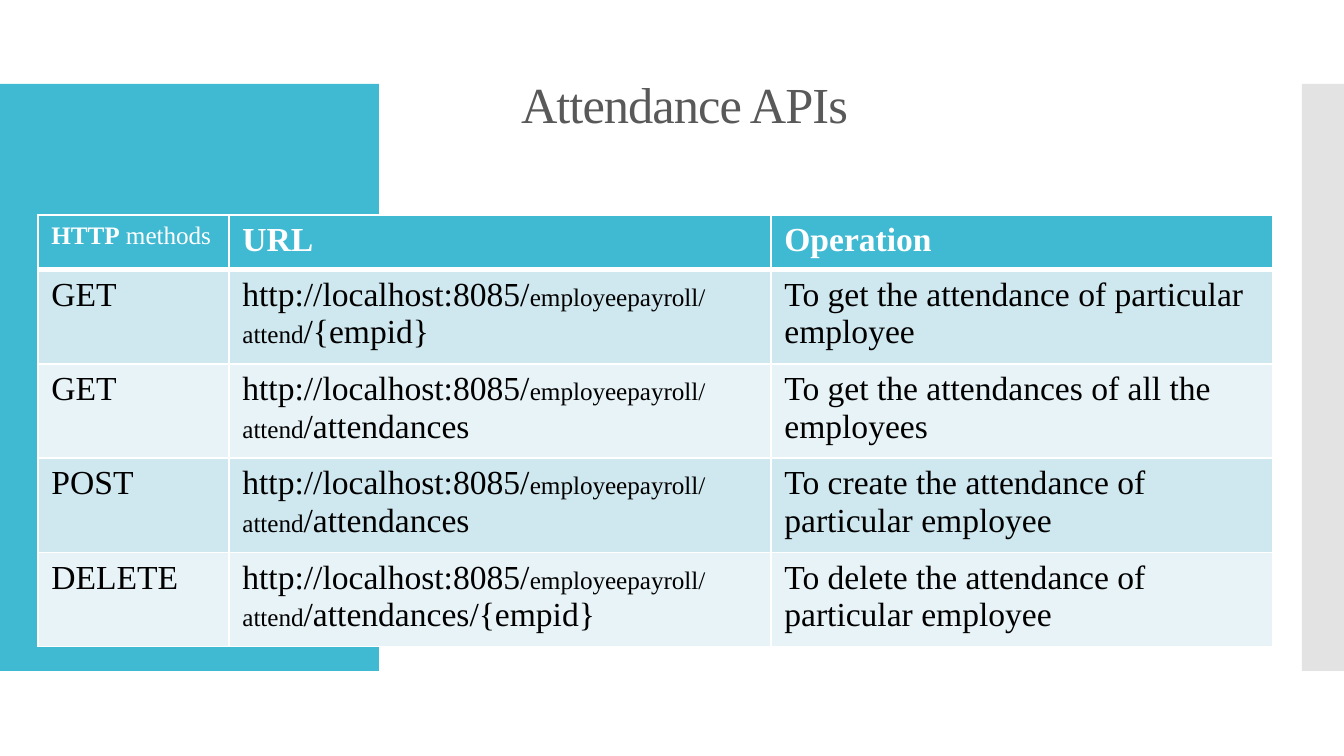
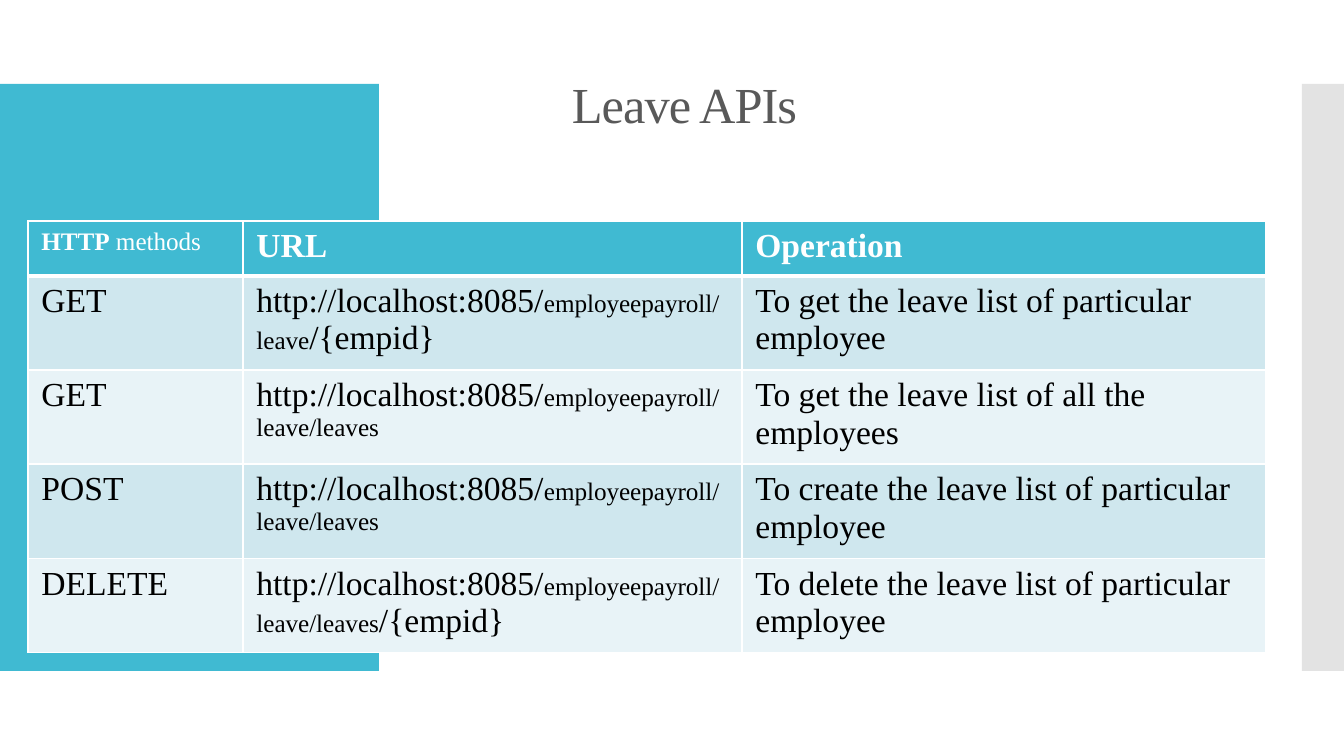
"""Build two slides that list the attendance and leave API endpoints."""

from lxml.etree import SubElement
from pptx import Presentation
from pptx.dml.color import RGBColor
from pptx.enum.shapes import MSO_SHAPE
from pptx.enum.text import MSO_ANCHOR, PP_ALIGN
from pptx.oxml import parse_xml
from pptx.oxml.ns import nsdecls, qn
from pptx.util import Emu, Pt

EMU_PER_PIXEL = 914400 / 134.4
SLIDE_SIZE = (1344, 756)
FONT = "Times New Roman"
LARGE, SMALL, TITLE_SIZE = 18, 13.5, 27
COLORS = {
    "accent": "40BAD2",
    "side": "C8C8C8",
    "title": "595959",
    "odd_row": "CFE7EE",
    "even_row": "E8F3F7",
    "white": "FFFFFF",
    "black": "000000",
}

LEFT_BAND = (0, 84, 379, 587)
RIGHT_BAND = (1302, 84, 42, 587)
TITLE_BOX = (89, 62, 1191, 85)
TITLE_INSET = 13
HEADER_HEIGHT, ROW_HEIGHT = 55, 88

HOST = "http://localhost:8085/"
HEADER = [
    [("HTTP", SMALL, True), (" methods", SMALL, False)],
    [("URL", LARGE, True)],
    [("Operation", LARGE, True)],
]
PAGES = [
    {
        "title": "Attendance APIs",
        "origin": (38, 215),
        "columns": (191, 542, 502),
        "endpoints": [
            ("GET", "employeepayroll/attend", "/{empid}",
             "To get the attendance of particular employee"),
            ("GET", "employeepayroll/attend", "/attendances",
             "To get the attendances of all the employees"),
            ("POST", "employeepayroll/attend", "/attendances",
             "To create the attendance of particular employee"),
            ("DELETE", "employeepayroll/attend", "/attendances/{empid}",
             "To delete the attendance of particular employee"),
        ],
    },
    {
        "title": "Leave APIs",
        "origin": (28, 221),
        "columns": (215, 499, 524),
        "endpoints": [
            ("GET", "employeepayroll/leave", "/{empid}",
             "To get the leave list of particular employee"),
            ("GET", "employeepayroll/leave/leaves", "",
             "To get the leave list of all the employees"),
            ("POST", "employeepayroll/leave/leaves", "",
             "To create the leave list of particular employee"),
            ("DELETE", "employeepayroll/leave/leaves", "/{empid}",
             "To delete the leave list of particular employee"),
        ],
    },
]


def px(value):
    return Emu(round(value * EMU_PER_PIXEL))


def color(name):
    return RGBColor.from_string(COLORS[name])


def style_font(font, size, color_name, bold=False):
    font.name = FONT
    font.size = Pt(size)
    font.bold = bold
    font.color.rgb = color(color_name)


def add_band(slide, box, color_name, opacity=100):
    shape = slide.shapes.add_shape(MSO_SHAPE.RECTANGLE, *map(px, box))
    shape.shadow.inherit = False
    shape.fill.solid()
    shape.fill.fore_color.rgb = color(color_name)
    shape.line.fill.background()
    if opacity < 100:
        fill_color = shape._element.spPr.find(qn("a:solidFill"))[0]
        SubElement(fill_color, qn("a:alpha"), val=str(opacity * 1000))


def add_title(slide, text):
    text_frame = slide.shapes.add_textbox(*map(px, TITLE_BOX)).text_frame
    text_frame.word_wrap = True
    text_frame.vertical_anchor = MSO_ANCHOR.BOTTOM
    for side in ("left", "right", "top", "bottom"):
        setattr(text_frame, f"margin_{side}", px(TITLE_INSET))
    text_frame.text = text
    paragraph = text_frame.paragraphs[0]
    paragraph.alignment = PP_ALIGN.CENTER
    run = paragraph.runs[0]
    style_font(run.font, TITLE_SIZE, "title")
    run._r.get_or_add_rPr().set("spc", "-50")


def set_borders(cell, widths):
    properties = cell._tc.get_or_add_tcPr()
    for index, (side, width) in enumerate(widths.items()):
        properties.insert(index, parse_xml(
            f'<a:ln{side} {nsdecls("a")} w="{Pt(width)}"><a:solidFill>'
            f'<a:srgbClr val="{COLORS["white"]}"/></a:solidFill></a:ln{side}>'
        ))


def fill_cell(cell, parts, fill, text_color, widths):
    cell.fill.solid()
    cell.fill.fore_color.rgb = color(fill)
    set_borders(cell, widths)
    paragraph = cell.text_frame.paragraphs[0]
    for text, size, bold in parts:
        if text:
            run = paragraph.add_run()
            run.text = text
            style_font(run.font, size, text_color, bold)


def endpoint_cells(method, route, tail, operation):
    return [
        [(method, LARGE, False)],
        [(HOST, LARGE, False), (route, SMALL, False), (tail, LARGE, False)],
        [(operation, LARGE, False)],
    ]


def add_endpoint_table(slide, origin, columns, endpoints):
    rows = [HEADER] + [endpoint_cells(*endpoint) for endpoint in endpoints]
    heights = [HEADER_HEIGHT] + [ROW_HEIGHT] * len(endpoints)
    box = (*origin, sum(columns), sum(heights))
    table = slide.shapes.add_table(len(rows), len(columns), *map(px, box)).table
    for column, width in zip(table.columns, columns):
        column.width = px(width)
    for row_index, (cells, height) in enumerate(zip(rows, heights)):
        table.rows[row_index].height = px(height)
        is_header = row_index == 0
        fill = "accent" if is_header else "odd_row" if row_index % 2 else "even_row"
        text_color = "white" if is_header else "black"
        widths = {"L": 1, "R": 1, "T": 3 if row_index == 1 else 1,
                  "B": 3 if is_header else 1}
        for column_index, parts in enumerate(cells):
            cell = table.cell(row_index, column_index)
            fill_cell(cell, parts, fill, text_color, widths)


def main():
    presentation = Presentation()
    presentation.slide_width, presentation.slide_height = map(px, SLIDE_SIZE)
    for page in PAGES:
        slide = presentation.slides.add_slide(presentation.slide_layouts[6])
        add_band(slide, LEFT_BAND, "accent")
        add_band(slide, RIGHT_BAND, "side", 50)
        add_title(slide, page["title"])
        add_endpoint_table(slide, page["origin"], page["columns"], page["endpoints"])
    presentation.save("out.pptx")


if __name__ == "__main__":
    main()
